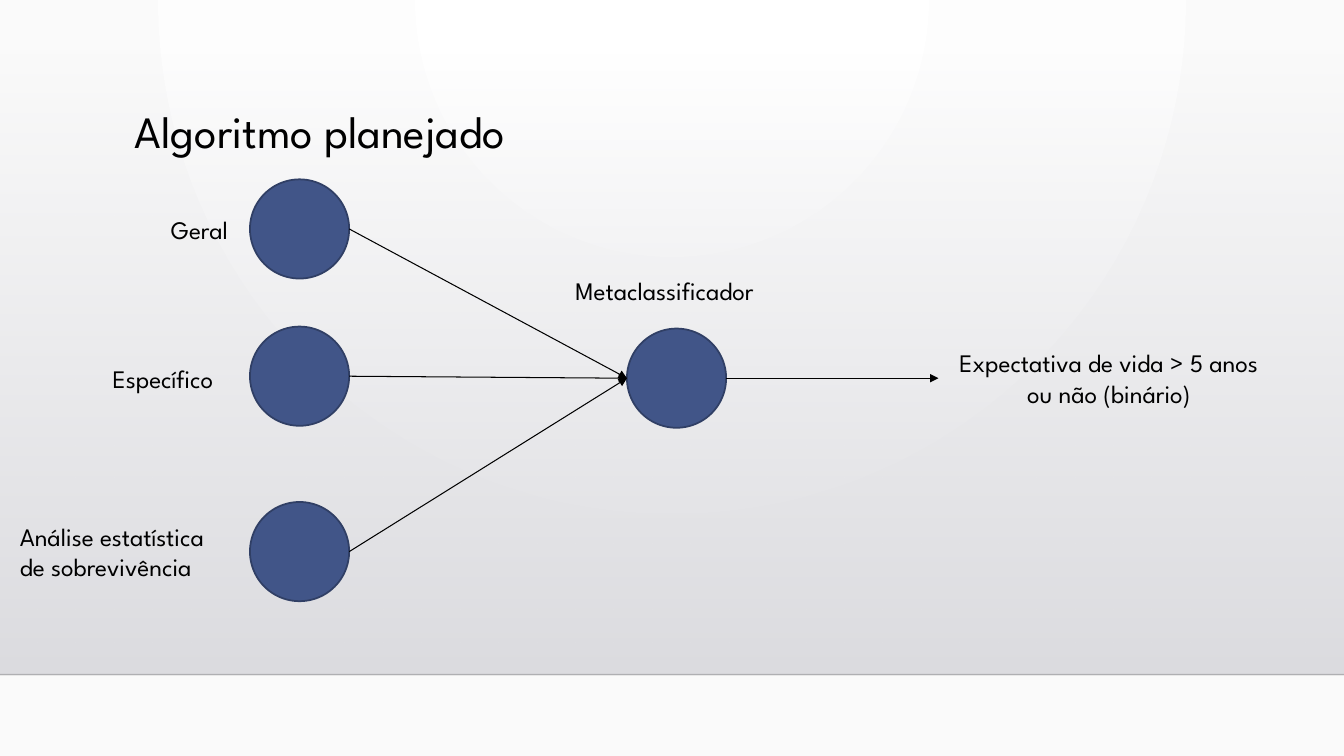
import pptx
import pptx.dml.color
import pptx.enum.shapes
import pptx.enum.text
import pptx.oxml
import pptx.oxml.ns
import pptx.util
from pptx.util import Cm

COLORS = {
    "ink": "000000", "node": "415588", "node edge": "303F65",
    "floor": "000001", "white": "FFFFFF", "off white": "FAFAFA",
    "haze top": "DCDCE0", "haze bottom": "DEDEE2",
}
WIDTH, HEIGHT = 33.87, 19.05
FLOOR = 17
DIAMETER = 2.5
A_NS = pptx.oxml.ns.nsdecls("a")


def rgb(name):
    return pptx.dml.color.RGBColor.from_string(COLORS[name])


def write(frame, text, size=18, color="ink", last_align=None, spacing=None):
    """Fill a frame with one paragraph per line of text."""
    frame.text = text
    for paragraph in frame.paragraphs:
        paragraph.line_spacing = spacing
        paragraph.font.name = "League Spartan"
        paragraph.font.size = pptx.util.Pt(size)
        paragraph.font.color.rgb = rgb(color)
    frame.paragraphs[-1].alignment = last_align


def set_gradient(element, stops, direction):
    """Swap the first solid fill in element for a gradient of (color, alpha %) ends."""
    ends = "".join(
        f'<a:gs pos="{position}"><a:srgbClr val="{COLORS[color]}">'
        f'<a:alpha val="{alpha * 1000}"/></a:srgbClr></a:gs>'
        for position, (color, alpha) in zip((0, 100000), stops))
    gradient = pptx.oxml.parse_xml(
        f'<a:gradFill {A_NS} rotWithShape="1"><a:gsLst>{ends}</a:gsLst>{direction}</a:gradFill>')
    solid = next(element.iter(pptx.oxml.ns.qn("a:solidFill")))
    solid.getparent().replace(solid, gradient)


class Diagram:
    """Draws the slide's elements, with all lengths in centimetres."""

    def __init__(self, slide):
        self.slide = slide
        self.shapes = slide.shapes

    def backdrop(self):
        self.slide.background.fill.solid()
        self.slide.background.fill.fore_color.rgb = rgb("white")
        set_gradient(
            self.slide.element, [("white", 100), ("off white", 100)],
            '<a:path path="circle"><a:fillToRect l="43000" t="0" r="43000" b="100000"/></a:path>')
        haze = self.shape("RECTANGLE", 0, 1.3, WIDTH, FLOOR - 1.3, "haze top")
        haze.line.fill.background()
        set_gradient(haze.element, [("haze top", 0), ("haze bottom", 100)],
                     '<a:lin ang="5400000" scaled="0"/>')
        floor = self.line((0, FLOOR), (WIDTH, FLOOR), "floor", 1)
        color = next(floor.element.spPr.iter(pptx.oxml.ns.qn("a:srgbClr")))
        color.append(pptx.oxml.parse_xml(f'<a:alpha {A_NS} val="20000"/>'))

    def shape(self, kind, left, top, width, height, fill):
        shape = self.shapes.add_shape(
            pptx.enum.shapes.MSO_SHAPE[kind], Cm(left), Cm(top), Cm(width), Cm(height))
        shape.shadow.inherit = False
        shape.fill.solid()
        shape.fill.fore_color.rgb = rgb(fill)
        return shape

    def node(self, left, top):
        """Draw a circle and return its left and right connection points."""
        circle = self.shape("OVAL", left, top, DIAMETER, DIAMETER, "node")
        circle.line.color.rgb = rgb("node edge")
        circle.line.width = pptx.util.Pt(1.25)
        middle = top + DIAMETER / 2
        return (left, middle), (left + DIAMETER, middle)

    def line(self, start, end, color="ink", width=0.75):
        line = self.shapes.add_connector(
            pptx.enum.shapes.MSO_CONNECTOR.STRAIGHT, *map(Cm, (*start, *end)))
        line.line.color.rgb = rgb(color)
        line.line.width = pptx.util.Pt(width)
        line.element.spPr.append(pptx.oxml.parse_xml(f"<a:effectLst {A_NS}/>"))
        return line

    def arrow(self, start, end):
        arrow = self.line(start, end)
        arrow.line._get_or_add_ln().append(
            pptx.oxml.parse_xml(f'<a:tailEnd {A_NS} type="triangle"/>'))

    def title(self, text, left, top, width, height):
        box = self.shapes.add_textbox(Cm(left), Cm(top), Cm(width), Cm(height))
        box.text_frame.word_wrap = True
        write(box.text_frame, text, size=32, spacing=0.9)

    def label(self, text, left, top, width, **text_format):
        height = 1.8 if "\n" in text else 1.03
        box = self.shapes.add_textbox(Cm(left), Cm(top), Cm(width), Cm(height))
        box.text_frame.word_wrap = False
        box.text_frame.auto_size = pptx.enum.text.MSO_AUTO_SIZE.SHAPE_TO_FIT_TEXT
        write(box.text_frame, text, **text_format)


def main():
    deck = pptx.Presentation()
    deck.slide_width, deck.slide_height = Cm(WIDTH), Cm(HEIGHT)
    diagram = Diagram(deck.slides.add_slide(deck.slide_layouts[6]))

    diagram.backdrop()
    diagram.title("Algoritmo planejado", 3.15, 2.64, 26.67, 2.92)

    meta_in, meta_out = diagram.node(15.8, 8.28)
    diagram.label("Metaclassificador", 14.25, 6.81, 6.02)

    classifiers = [
        # text, node top, label left, label top, label width
        ("Geral", 4.52, 4.06, 5.28, 2.26),
        ("Específico", 8.23, 2.59, 9.02, 3.66),
        ("Análise estatística\nde sobrevivência", 12.65, 0.25, 13, 6.05),
    ]
    for text, node_top, left, top, width in classifiers:
        _, classifier_out = diagram.node(6.3, node_top)
        diagram.arrow(classifier_out, meta_in)
        diagram.label(text, left, top, width)

    diagram.arrow(meta_out, (23.65, meta_out[1]))
    diagram.label("Expectativa de vida > 5 anos\nou não (binário)", 23.93, 8.64, 9.58,
                  last_align=pptx.enum.text.PP_ALIGN.CENTER)
    deck.save("out.pptx")


if __name__ == "__main__":
    main()
